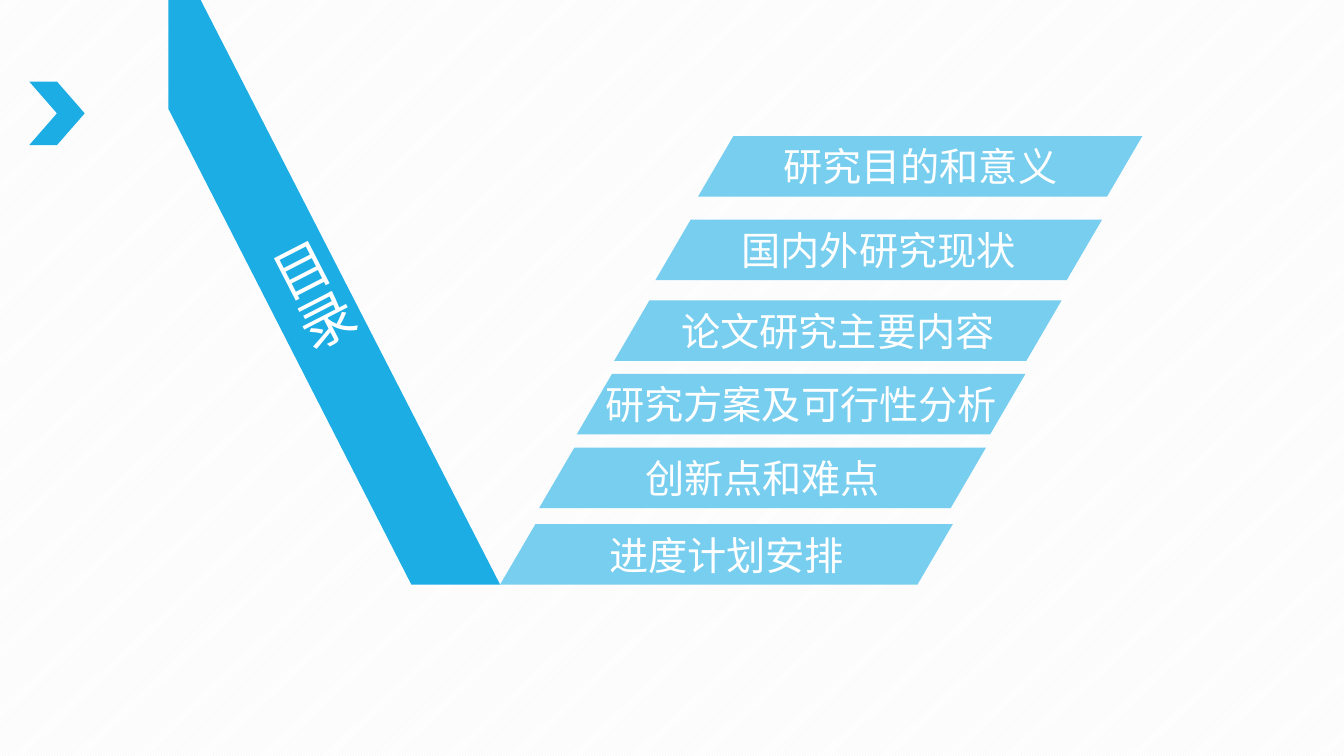
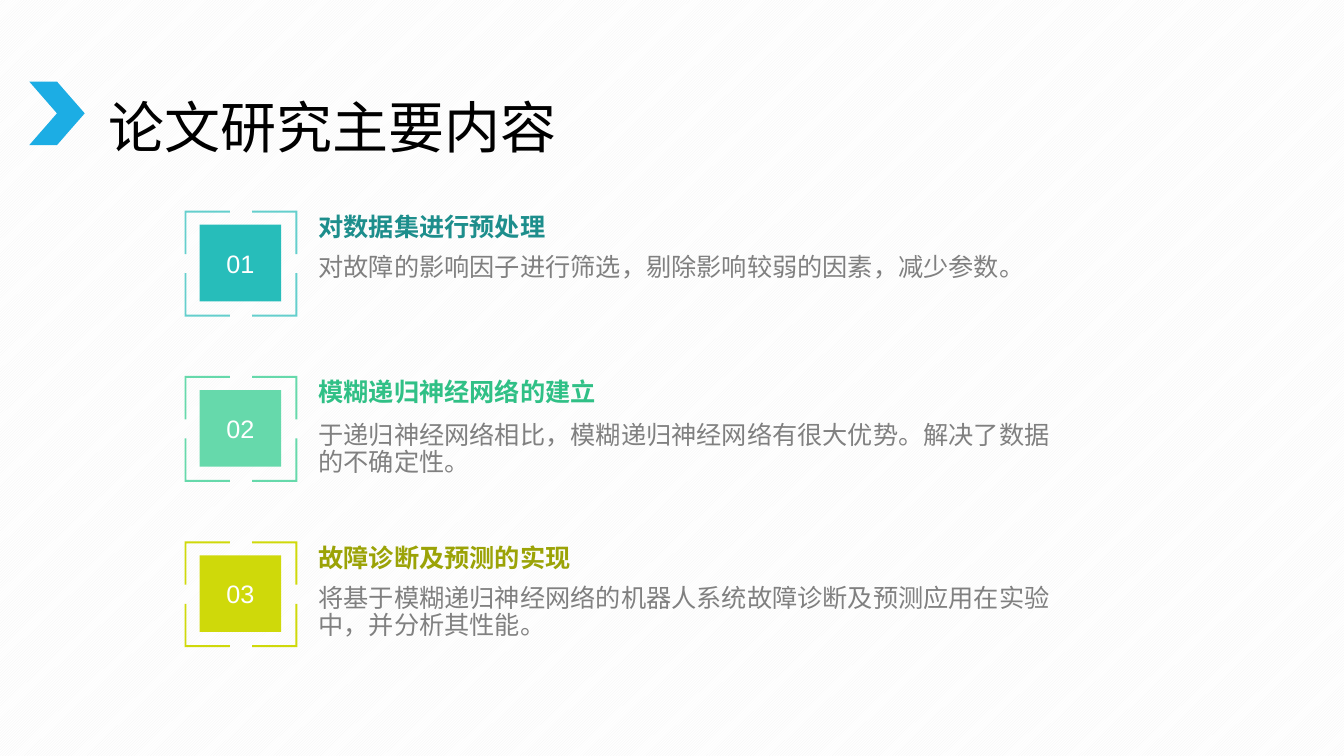
"""Build the contents slide and the research content slide."""
from lxml import etree
from pptx import Presentation
from pptx.dml.color import RGBColor
from pptx.enum.dml import MSO_PATTERN
from pptx.enum.shapes import MSO_SHAPE
from pptx.enum.text import MSO_ANCHOR, MSO_AUTO_SIZE, PP_ALIGN
from pptx.oxml.ns import qn
from pptx.util import Inches, Pt

CHEVRON, RECTANGLE = MSO_SHAPE.CHEVRON, MSO_SHAPE.RECTANGLE
LEFT, CENTER = PP_ALIGN.LEFT, PP_ALIGN.CENTER
TOP, MIDDLE = MSO_ANCHOR.TOP, MSO_ANCHOR.MIDDLE
DIAGONAL = MSO_PATTERN.LIGHT_UPWARD_DIAGONAL
NO_AUTOFIT = MSO_AUTO_SIZE.NONE

rgb = RGBColor.from_string
BLUE, LIGHT_BLUE = "1CADE4", "77CEEF"
WHITE, BLACK, GRAY = "FFFFFF", "000000", "808080"
DEFAULT_MARGINS = (0.1, 0.05, 0.1, 0.05)
NO_MARGINS = (0, 0, 0, 0)


def paint(shape, color):
    """Give a shape a plain fill without line or shadow."""
    shape.fill.solid()
    shape.fill.fore_color.rgb = rgb(color)
    shape.line.fill.background()
    shape.shadow.inherit = False


def write(shape, text, size, color, align=LEFT, anchor=MIDDLE, font="Arial",
          bold=False, margins=DEFAULT_MARGINS, spacing=1.0):
    """Put one formatted paragraph into a shape."""
    frame = shape.text_frame
    frame.text = text
    frame.word_wrap = True
    frame.auto_size = NO_AUTOFIT
    frame.vertical_anchor = anchor
    (frame.margin_left, frame.margin_top,
     frame.margin_right, frame.margin_bottom) = map(Inches, margins)
    paragraph = frame.paragraphs[0]
    paragraph.alignment = align
    paragraph.line_spacing = spacing
    run_font = paragraph.runs[0].font
    run_font.name = font
    run_font.size = Pt(size)
    run_font.bold = bold
    run_font.color.rgb = rgb(color)


presentation = Presentation()
presentation.slide_width = Inches(13.33)
presentation.slide_height = Inches(7.5)
background = presentation.slide_master.background.fill
background.patterned()
background.pattern = DIAGONAL
background.fore_color.rgb = rgb("F2F2F2")
background.back_color.rgb = rgb(WHITE)

layout = presentation.slide_layouts[5]
contents_slide = presentation.slides.add_slide(layout)
research_slide = presentation.slides.add_slide(layout)

chevron = contents_slide.shapes.add_shape(
    CHEVRON, Inches(0.29), Inches(0.81), Inches(0.55), Inches(0.63))
paint(chevron, BLUE)
layout.shapes.element.append(chevron.element)

shapes = contents_slide.shapes
topics = [
    ("进度计划安排", 5.2, 9.45),
    ("创新点和难点", 4.44, 9.78),
    ("研究方案及可行性分析", 3.71, 10.17),
    ("论文研究主要内容", 2.98, 10.53),
    ("国内外研究现状", 2.18, 10.93),
    ("研究目的和意义", 1.35, 11.33),
]
BAR_HEIGHT, BAR_SLANT = 0.6, 0.35
for topic, top, right in topics:
    left = 4.96 + 0.51 * (5.2 - top)
    bottom = top + BAR_HEIGHT
    corners = [(right, top), (right - BAR_SLANT, bottom), (left, bottom)]
    builder = shapes.build_freeform(Inches(left + BAR_SLANT), Inches(top))
    builder.add_line_segments([(Inches(x), Inches(y)) for x, y in corners])
    bar = builder.convert_to_shape()
    paint(bar, LIGHT_BLUE)
    write(bar, topic, 28, WHITE, CENTER, margins=(0.24, 0.05, 0.24, 0.05))

band_corners = [(1.99, 0), (4.96, 5.8), (4.08, 5.8), (1.67, 1.08)]
builder = shapes.build_freeform(Inches(1.67), 0)
builder.add_line_segments([(Inches(x), Inches(y)) for x, y in band_corners])
paint(builder.convert_to_shape(), BLUE)

title = shapes.title
title.left, title.top = Inches(2.71), Inches(2.24)
title.width, title.height = Inches(0.78), Inches(1.4)
title.rotation = 332.9
write(title, "目录", 40, WHITE, CENTER, margins=(0.1, 0.14, 0.1, 0.1))
title.element.find(".//" + qn("a:bodyPr")).set("vert", "eaVert")
shapes.element.append(title.element)

title = research_slide.shapes.title
title.left, title.top = Inches(0.98), Inches(0.39)
title.width, title.height = Inches(8.84), Inches(1.39)
write(title, "论文研究主要内容", 40, BLACK, spacing=1.5)

steps = [
    ("对数据集进行预处理",
     "对故障的影响因子进行筛选，剔除影响较弱的因素，减少参数。",
     "27BDBA", "1D8E8C", 2.53, 71),
    ("模糊递归神经网络的建立",
     "于递归神经网络相比，模糊递归神经网络有很大优势。解决了数据的不确定性。",
     "66D9AB", "30C086", 4.19, 100),
    ("故障诊断及预测的实现",
     "将基于模糊递归神经网络的机器人系统故障诊断及预测应用在实验中，并分析其性能。",
     "CFD90A", "9BA307", 5.81, 100),
]
FRAME_LEFT, FRAME_WIDTH, FRAME_HEIGHT = 1.83, 1.12, 1.05
ARM_WIDTH, ARM_HEIGHT, THICKNESS = 0.45, 0.43, 0.02
for index, (heading, body, color, heading_color, body_top, opacity) in enumerate(steps):
    frame_top = 2.09 + 1.64 * index
    group = research_slide.shapes.add_group_shape().shapes

    square = group.add_shape(RECTANGLE, Inches(1.98), Inches(frame_top + 0.14),
                             Inches(0.81), Inches(0.76))
    paint(square, color)
    write(square, f"{index + 1:02}", 18, WHITE, CENTER)

    builder = None
    for x, across in ((FRAME_LEFT, 1), (FRAME_LEFT + FRAME_WIDTH, -1)):
        for y, down in ((frame_top, 1), (frame_top + FRAME_HEIGHT, -1)):
            offsets = [(0, 0), (ARM_WIDTH, 0), (ARM_WIDTH, THICKNESS),
                       (THICKNESS, THICKNESS), (THICKNESS, ARM_HEIGHT), (0, ARM_HEIGHT)]
            points = [(Inches(x + across * dx), Inches(y + down * dy)) for dx, dy in offsets]
            if builder is None:
                builder = group.build_freeform(*points[0])
            else:
                builder.move_to(*points[0])
            builder.add_line_segments(points[1:])
    brackets = builder.convert_to_shape()
    paint(brackets, color)
    if opacity < 100:
        fill_color = brackets.element.find(".//" + qn("a:srgbClr"))
        etree.SubElement(fill_color, qn("a:alpha")).set("val", str(opacity * 1000))

    heading_box = group.add_textbox(Inches(3.16), Inches(frame_top - 0.1),
                                    Inches(7.27), Inches(0.51))
    write(heading_box, heading, 18, heading_color, font="Calibri", bold=True,
          margins=NO_MARGINS)
    body_box = group.add_textbox(Inches(3.16), Inches(body_top), Inches(7.27), Inches(1.1))
    write(body_box, body, 18, GRAY, anchor=TOP, margins=NO_MARGINS, spacing=0.9)

presentation.save("out.pptx")
